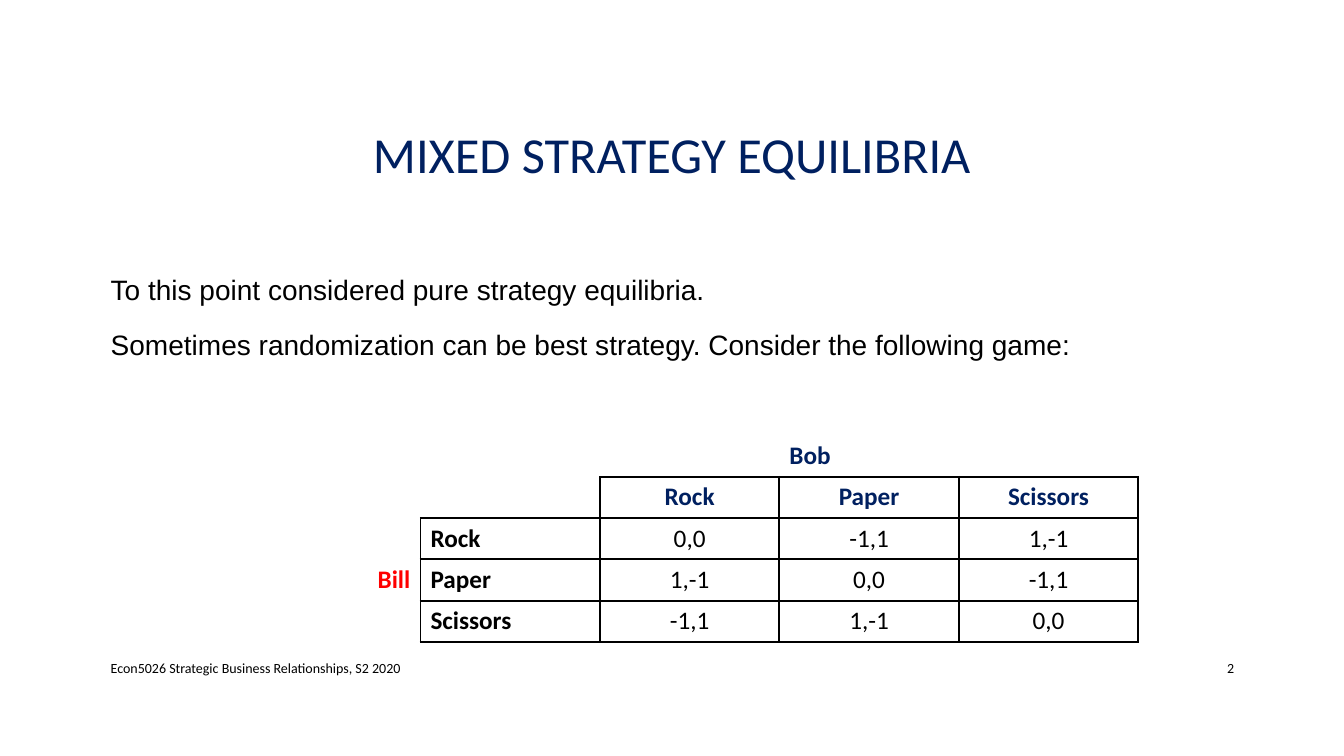
from pptx import Presentation
from pptx.dml.color import RGBColor
from pptx.enum.text import MSO_ANCHOR, PP_ALIGN
from pptx.oxml import parse_xml
from pptx.oxml.ns import nsdecls
from pptx.util import Inches, Pt

LEFT, CENTER, RIGHT = PP_ALIGN.LEFT, PP_ALIGN.CENTER, PP_ALIGN.RIGHT
TOP, MIDDLE = MSO_ANCHOR.TOP, MSO_ANCHOR.MIDDLE
NAVY, RED, BLACK, WHITE = "002060", "FF0000", "000000", "FFFFFF"

prs = Presentation()
prs.slide_width, prs.slide_height = Inches(13.33), Inches(7.5)
s = prs.slides.add_slide(prs.slide_layouts[6])


def style(tf, size, font, color, align=LEFT, bold=False):
    for p in tf.paragraphs:
        p.alignment = align
        for r in p.runs:
            r.font.size, r.font.name, r.font.bold = Pt(size), font, bold
            r.font.color.rgb = RGBColor.from_string(color)


def in_grid(row, col):
    """Whether a cell belongs to the outlined payoff matrix."""
    return 1 <= row <= 4 and 1 <= col <= 4 and (row, col) != (1, 1)


# Title, body and footer
body = ("To this point considered pure strategy equilibria.\n"
        "Sometimes randomization can be best strategy. Consider the following game:")
footer = "Econ5026 Strategic Business Relationships, S2 2020"
for text, box, anchor, spacing, size, font, color, align in [
    ("MIXED STRATEGY EQUILIBRIA", (1, 0.68, 11.33, 1.75), MIDDLE, 0.9, 36, "Calibri", NAVY, CENTER),
    (body, (1, 2.59, 11.33, 1.5), TOP, 1.2, 20, "Arial", BLACK, LEFT),
    (footer, (1, 6.43, 7.3, 0.4), MIDDLE, 1, 10, "Calibri", BLACK, LEFT),
    ("2", (11.5, 6.43, 0.84, 0.4), MIDDLE, 1, 10, "Calibri", BLACK, RIGHT),
]:
    tf = s.shapes.add_textbox(*map(Inches, box)).text_frame
    tf.word_wrap = True
    tf.vertical_anchor = anchor
    tf.text = text
    style(tf, size, font, color, align)
    for i, p in enumerate(tf.paragraphs):
        p.line_spacing = spacing
        p.space_before = Pt(10 if i else 0)

# Payoff table
payoffs = [
    ["", "", "", "Bob", ""],
    ["", "", "Rock", "Paper", "Scissors"],
    ["", "Rock", "0,0", "-1,1", "1,-1"],
    ["Bill", "Paper", "1,-1", "0,0", "-1,1"],
    ["", "Scissors", "-1,1", "1,-1", "0,0"],
]
COL_W, ROW_H = 1.78, 0.41
table = s.shapes.add_table(5, 5, Inches(2.39), Inches(4.32),
                           Inches(5 * COL_W), Inches(5 * ROW_H)).table
table.first_row = table.horz_banding = False
for col in table.columns:
    col.width = Inches(COL_W)
for row in table.rows:
    row.height = Inches(ROW_H)

SIDES = [("lnL", 0, -1), ("lnR", 0, 1), ("lnT", -1, 0), ("lnB", 1, 0)]
for row, texts in enumerate(payoffs):
    for col, text in enumerate(texts):
        cell = table.cell(row, col)
        cell.text = text
        cell.fill.background()
        color = NAVY if row < 2 else RED if col == 0 else BLACK
        align = RIGHT if col == 0 else CENTER if row and col > 1 else LEFT
        style(cell.text_frame, 18, "Calibri", color, align, bold=row < 2 or col < 2)

        tcPr = cell._tc.get_or_add_tcPr()
        for i, (tag, down, across) in enumerate(SIDES):
            outlined = in_grid(row, col) or in_grid(row + down, col + across)
            width = Pt(1.5 if outlined else 1)
            if outlined and row == 4 and tag == "lnB":
                width = Pt(2.25)
            tcPr.insert(i, parse_xml(
                f'<a:{tag} {nsdecls("a")} w="{width}"><a:solidFill>'
                f'<a:srgbClr val="{BLACK if outlined else WHITE}"/>'
                f'</a:solidFill></a:{tag}>'))

prs.save("out.pptx")
